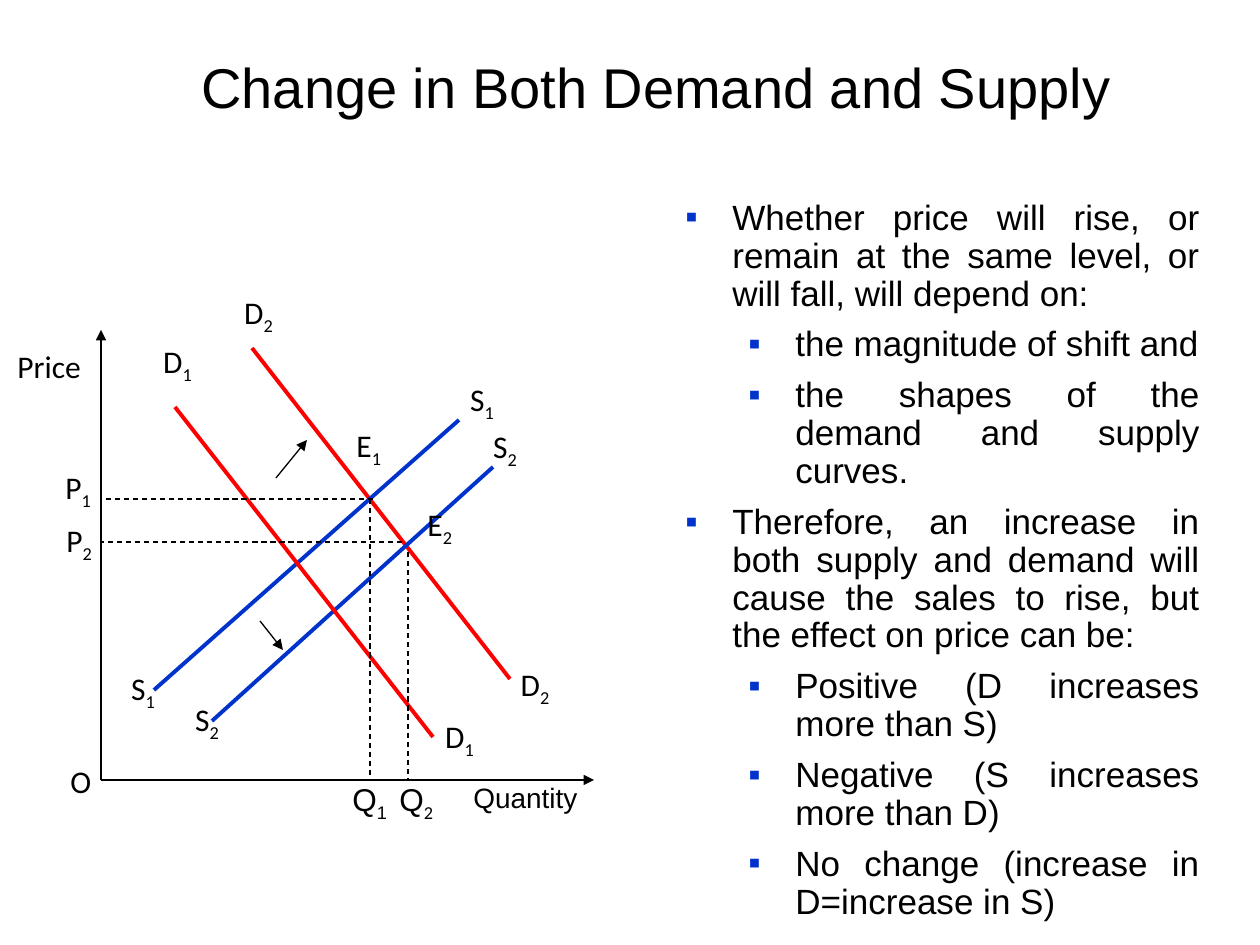
from lxml.etree import SubElement
from pptx import Presentation
from pptx.dml.color import RGBColor
from pptx.enum.dml import MSO_LINE
from pptx.enum.shapes import MSO_CONNECTOR
from pptx.enum.text import MSO_ANCHOR, PP_ALIGN
from pptx.oxml.ns import qn
from pptx.util import Emu, Pt

PX = 914400 / 126
BLACK = RGBColor(0x00, 0x00, 0x00)
RED = RGBColor(0xFF, 0x00, 0x00)
BLUE = RGBColor(0x00, 0x33, 0xCC)
LEFT, CENTER = PP_ALIGN.LEFT, PP_ALIGN.CENTER

prs = Presentation()
prs.slide_width, prs.slide_height = Emu(round(1260 * PX)), Emu(round(945 * PX))
s = prs.slides.add_slide(prs.slide_layouts[6])


def add_box(*box):
    sp = s.shapes.add_textbox(*(Emu(round(v * PX)) for v in box))
    sp.text_frame.word_wrap = True
    return sp.text_frame


def add_run(p, text, size, font="Arial"):
    r = p.add_run()
    r.text = text
    r.font.size = Pt(size)
    r.font.name = font
    r.font.color.rgb = BLACK
    return r


# Title
tf = add_box(121, 31, 1071, 111)
tf.vertical_anchor = MSO_ANCHOR.MIDDLE
p = tf.paragraphs[0]
p.alignment = CENTER
add_run(p, "Change in Both Demand and Supply", 32)

# Diagram lines: ends, colour, width, style
lines = [
    ((252, 348, 510, 679), RED, 2.25, "solid"),     # D2
    ((212, 721, 493, 467), BLUE, 2.25, "solid"),    # S2
    ((101, 780, 101, 330), BLACK, 0.75, "arrow"),   # price axis
    ((101, 780, 594, 780), BLACK, 0.75, "arrow"),   # quantity axis
    ((154, 690, 459, 420), BLUE, 2.25, "solid"),    # S1
    ((175, 407, 433, 737), RED, 2.25, "solid"),     # D1
    ((373, 499, 101, 499), BLACK, 0.75, "dash"),    # E1 to P1
    ((370, 499, 370, 780), BLACK, 0.75, "dash"),    # E1 to Q1
    ((402, 542, 101, 542), BLACK, 0.75, "dash"),    # E2 to P2
    ((408, 552, 408, 780), BLACK, 0.75, "dash"),    # E2 to Q2
    ((260, 621, 283, 650), BLACK, 0.75, "arrow"),   # supply shift
    ((276, 478, 307, 440), BLACK, 0.75, "arrow"),   # demand shift
]
for ends, color, width, style in lines:
    line = s.shapes.add_connector(MSO_CONNECTOR.STRAIGHT, *(Emu(round(v * PX)) for v in ends))
    line.line.color.rgb = color
    line.line.width = Pt(width)
    if style == "dash":
        line.line.dash_style = MSO_LINE.DASH
    elif style == "arrow":
        SubElement(line.line._get_or_add_ln(), qn("a:tailEnd"), type="triangle")
    SubElement(line._element.spPr, qn("a:effectLst"))

# Diagram labels: text, subscript, box, alignment
labels = [
    ("D", "1", (144, 336, 67, 62), CENTER),
    ("D", "1", (423, 711, 73, 63), CENTER),
    ("D", "2", (223, 287, 71, 64), CENTER),
    ("D", "2", (503, 659, 64, 57), CENTER),
    ("S", "1", (445, 374, 74, 67), CENTER),
    ("S", "1", (111, 663, 64, 58), CENTER),
    ("S", "2", (476, 421, 58, 63), CENTER),
    ("S", "2", (175, 694, 64, 63), CENTER),
    ("E", "1", (344, 420, 58, 58), LEFT),
    ("E", "2", (415, 499, 58, 58), LEFT),
    ("P", "1", (53, 462, 62, 58), LEFT),
    ("P", "2", (54, 515, 73, 60), LEFT),
    ("Q", "1", (340, 774, 62, 63), LEFT),
    ("Q", "2", (387, 774, 64, 47), LEFT),
    ("O", "", (58, 756, 45, 55), LEFT),
    ("Price", "", (5, 341, 101, 52), LEFT),
    ("Quantity", "", (461, 774, 142, 53), LEFT),
]
for text, sub, box, align in labels:
    p = add_box(*box).paragraphs[0]
    p.alignment = align
    font = "Arial" if text.startswith("Q") else "Calibri"
    add_run(p, text, 16 if text == "Quantity" else 18, font)
    if sub:
        r = add_run(p, sub, 18, "Arial" if text + sub == "Q1" else "Calibri")
        r.font._element.set("baseline", "-25000")

# Explanation
points = [
    (0, "Whether price will rise, or remain at the same level, or will fall, will depend on:"),
    (1, "the magnitude of shift and"),
    (1, "the shapes of the demand and supply curves."),
    (0, "Therefore, an increase in both supply and demand will cause the sales to rise, "
        "but the effect on price can be:"),
    (1, "Positive (D increases more than S)"),
    (1, "Negative (S increases more than D)"),
    (1, "No change (increase in D=increase in S)"),
]
tf = add_box(673, 194, 539, 680)
for i, (level, text) in enumerate(points):
    p = tf.paragraphs[0] if i == 0 else tf.add_paragraph()
    p.level = level
    p.alignment = PP_ALIGN.JUSTIFY
    p.line_spacing = 0.9
    p.space_before = Pt(7.5 if i else 0)
    pPr = p._p.get_or_add_pPr()
    pPr.set("marL", str(round((47 + 63 * level) * PX)))
    pPr.set("indent", str(round(-47 * PX)))
    SubElement(SubElement(pPr, qn("a:buClr")), qn("a:srgbClr"), val=str(BLUE))
    SubElement(pPr, qn("a:buFont"), typeface="Arial")
    SubElement(pPr, qn("a:buChar"), char="▪")
    add_run(p, text, 20)

prs.save("out.pptx")
